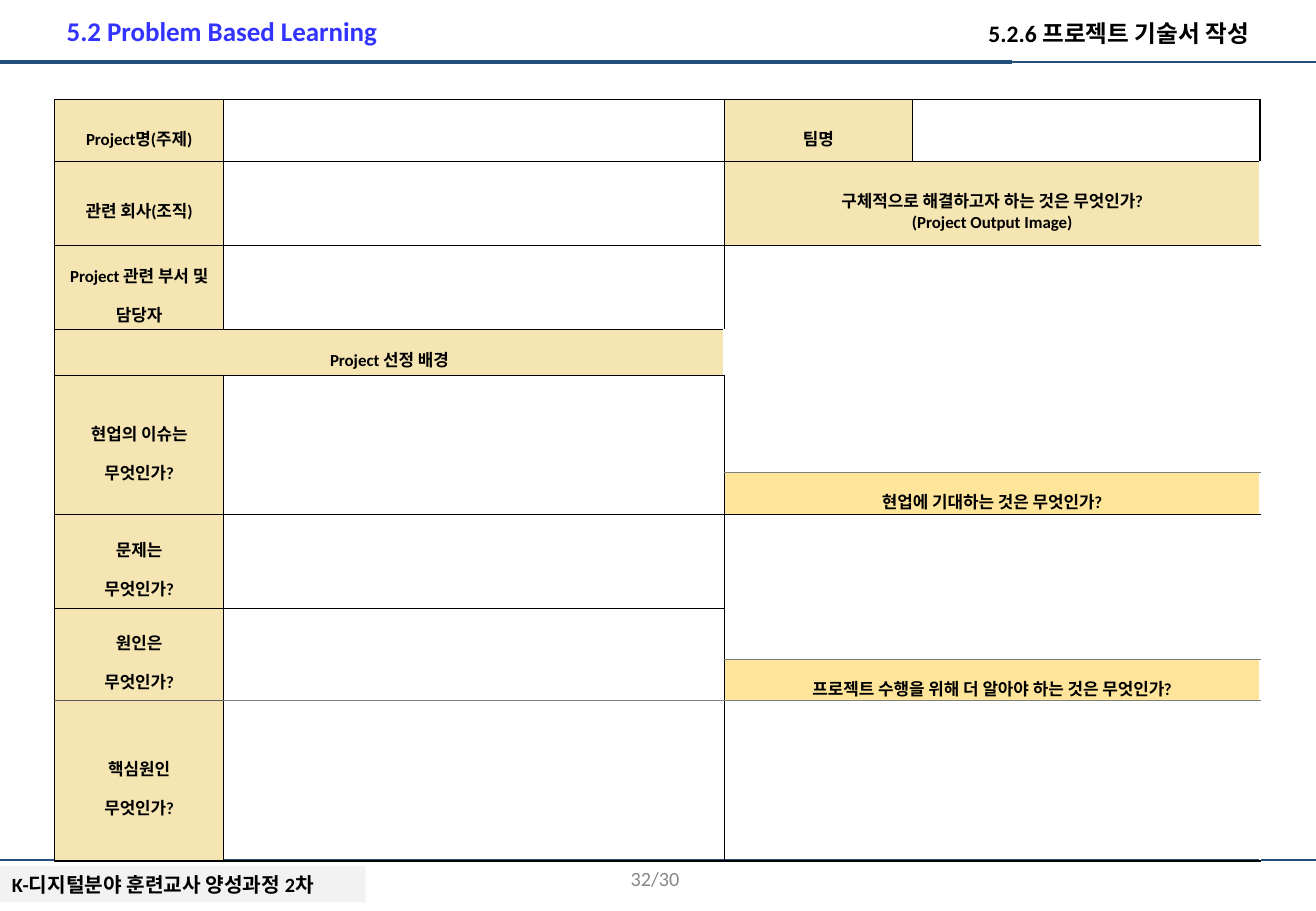
import dataclasses
import pptx
import pptx.dml.color
import pptx.enum.shapes
import pptx.enum.text
import pptx.oxml.ns
import pptx.util
import lxml.etree

Inches = pptx.util.Inches
Pt = pptx.util.Pt
ALIGN = pptx.enum.text.PP_ALIGN
ANCHOR = pptx.enum.text.MSO_ANCHOR


@dataclasses.dataclass(frozen=True)
class Theme:
    font: str = "Calibri"
    black: str = "000000"
    blue: str = "3333FF"
    navy: str = "244F7A"
    pale: str = "F2F2F2"
    cream: str = "F4E5B2"
    gold: str = "FEE599"
    gray: str = "7F7F7F"
    dark: str = "595959"
    muted: str = "888888"
    small: int = 10
    note: int = 12
    head: int = 14
    title: int = 16


THEME = Theme()
COLS = [1.39, 4.12, 1.55, 2.86]
ROWS = [0.51, 0.69, 0.69, 0.38, 0.8, 0.35, 0.77, 0.42, 0.34, 1.32]

# row, column, height, width, text, fill
BLOCKS = [
    (0, 0, 1, 1, "Project명(주제)", THEME.cream),
    (0, 1, 1, 1, "", None),
    (0, 2, 1, 1, "팀명", THEME.cream),
    (0, 3, 1, 1, "", None),
    (1, 0, 1, 1, "관련 회사(조직)", THEME.cream),
    (1, 1, 1, 1, "", None),
    (1, 2, 1, 2, "구체적으로 해결하고자 하는 것은 무엇인가?\n(Project Output Image)", THEME.cream),
    (2, 0, 1, 1, "Project 관련 부서 및 담당자", THEME.cream),
    (2, 1, 1, 1, "", None),
    (2, 2, 3, 2, "", None),
    (3, 0, 1, 2, "Project 선정 배경", THEME.cream),
    (4, 0, 2, 1, "현업의 이슈는\n무엇인가?", THEME.cream),
    (4, 1, 2, 1, "", None),
    (5, 2, 1, 2, "현업에 기대하는 것은 무엇인가?", THEME.gold),
    (6, 0, 1, 1, "문제는\n무엇인가?", THEME.cream),
    (6, 1, 1, 1, "", None),
    (6, 2, 2, 2, "", None),
    (7, 0, 2, 1, "원인은\n무엇인가?", THEME.cream),
    (7, 1, 2, 1, "", None),
    (8, 2, 1, 2, "프로젝트 수행을 위해 더 알아야 하는 것은 무엇인가?", THEME.gold),
    (9, 0, 1, 1, "핵심원인\n무엇인가?", THEME.cream),
    (9, 1, 1, 1, "", None),
    (9, 2, 1, 2, "", None),
]


def rgb(code):
    return pptx.dml.color.RGBColor.from_string(code)


def write(frame, text, size=THEME.note, color=THEME.black, bold=True,
          align=ALIGN.LEFT, gap=None):
    for count, line in enumerate(text.split("\n")):
        para = frame.add_paragraph() if count else frame.paragraphs[0]
        para.alignment = align
        if gap:
            para.line_spacing = gap
        run = para.add_run()
        run.text = line
        run.font.name = THEME.font
        run.font.size = Pt(size)
        run.font.bold = bold
        run.font.color.rgb = rgb(color)


def label(slide, text, left, top, width, height, anchor=ANCHOR.TOP, **style):
    box = slide.shapes.add_textbox(Inches(left), Inches(top), Inches(width), Inches(height))
    box.text_frame.word_wrap = True
    box.text_frame.vertical_anchor = anchor
    write(box.text_frame, text, **style)


def panel(slide, text, left, top, width, height):
    rect = slide.shapes.add_shape(
        pptx.enum.shapes.MSO_SHAPE.RECTANGLE,
        Inches(left), Inches(top), Inches(width), Inches(height))
    rect.shadow.inherit = False
    rect.fill.solid()
    rect.fill.fore_color.rgb = rgb(THEME.pale)
    rect.line.fill.background()
    rect.text_frame.word_wrap = True
    rect.text_frame.vertical_anchor = ANCHOR.TOP
    write(rect.text_frame, text)


def rule(slide, top, right, weight):
    line = slide.shapes.add_connector(
        pptx.enum.shapes.MSO_CONNECTOR.STRAIGHT,
        Inches(0), Inches(top), Inches(right), Inches(top))
    line.line.color.rgb = rgb(THEME.navy)
    line.line.width = Pt(weight)
    lxml.etree.SubElement(line._element.spPr, pptx.oxml.ns.qn("a:effectLst"))


def border(cell, side, color, weight):
    name = pptx.oxml.ns.qn
    props = cell._tc.get_or_add_tcPr()
    edge = lxml.etree.SubElement(props, name("a:ln" + side), w=str(Pt(weight)))
    fill = lxml.etree.SubElement(edge, name("a:solidFill"))
    lxml.etree.SubElement(fill, name("a:srgbClr"), val=color)


def level(index, col):
    if index == 9:
        color = THEME.dark if col == 0 else THEME.gray
    else:
        color = THEME.gray if index in (5, 8) and col >= 2 else THEME.black
    return color, 1 if index in (0, len(ROWS)) else 0.75


def upright(index):
    return THEME.black, 1 if index in (0, len(COLS)) else 0.75


def dress(cell, row, col, block, fill):
    top, left, height, width = block
    if col == left:
        border(cell, "L", *upright(col))
    if col + 1 == left + width:
        border(cell, "R", *upright(col + 1))
    if row == top:
        border(cell, "T", *level(row, col))
    if row + 1 == top + height:
        border(cell, "B", *level(row + 1, col))
    if fill:
        cell.fill.solid()
        cell.fill.fore_color.rgb = rgb(fill)
    else:
        cell.fill.background()
    cell.margin_left = cell.margin_right = Inches(0.07)
    cell.margin_top = cell.margin_bottom = Inches(0.02)
    cell.vertical_anchor = ANCHOR.MIDDLE


def form(slide, left, top):
    table = slide.shapes.add_table(
        len(ROWS), len(COLS), Inches(left), Inches(top),
        Inches(sum(COLS)), Inches(sum(ROWS))).table
    table.first_row = table.horz_banding = False
    for col, width in zip(table.columns, COLS):
        col.width = Inches(width)
    for row, height in zip(table.rows, ROWS):
        row.height = Inches(height)
    for row, col, height, width, text, fill in BLOCKS:
        first = table.cell(row, col)
        if height * width > 1:
            first.merge(table.cell(row + height - 1, col + width - 1))
        for y in range(row, row + height):
            for x in range(col, col + width):
                cell = table.cell(y, x)
                dress(cell, y, x, (row, col, height, width), fill)
                if not text or cell.is_spanned:
                    end = cell.text_frame.paragraphs[0]._p.get_or_add_endParaRPr()
                    end.set("sz", str(THEME.small * 100))
        if text:
            write(first.text_frame, text, size=THEME.small, align=ALIGN.CENTER, gap=1.6)
    table.cell(1, 2).text_frame.paragraphs[1].line_spacing = 1.0


def main():
    deck = pptx.Presentation()
    deck.slide_width = Inches(10.83)
    deck.slide_height = Inches(7.5)
    slide = deck.slides.add_slide(deck.slide_layouts[6])
    panel(slide, "K-디지털분야 훈련교사 양성과정 2차", 0, 7.13, 3.01, 0.3)
    rule(slide, 0.51, 10.83, 0.75)
    rule(slide, 0.51, 8.33, 2.5)
    rule(slide, 7.08, 10.83, 0.75)
    label(slide, "5.2.6 프로젝트 기술서 작성", 7.76, 0.11, 2.62, 0.34,
          size=THEME.head, align=ALIGN.RIGHT)
    form(slide, 0.45, 0.82)
    label(slide, "5.2 Problem Based Learning", 0.45, 0.07, 3.29, 0.37,
          size=THEME.title, color=THEME.blue)
    label(slide, "32/30", 3.25, 7.03, 2.44, 0.4, anchor=ANCHOR.MIDDLE,
          color=THEME.muted, bold=False, align=ALIGN.RIGHT)
    deck.save("out.pptx")


if __name__ == "__main__":
    main()
